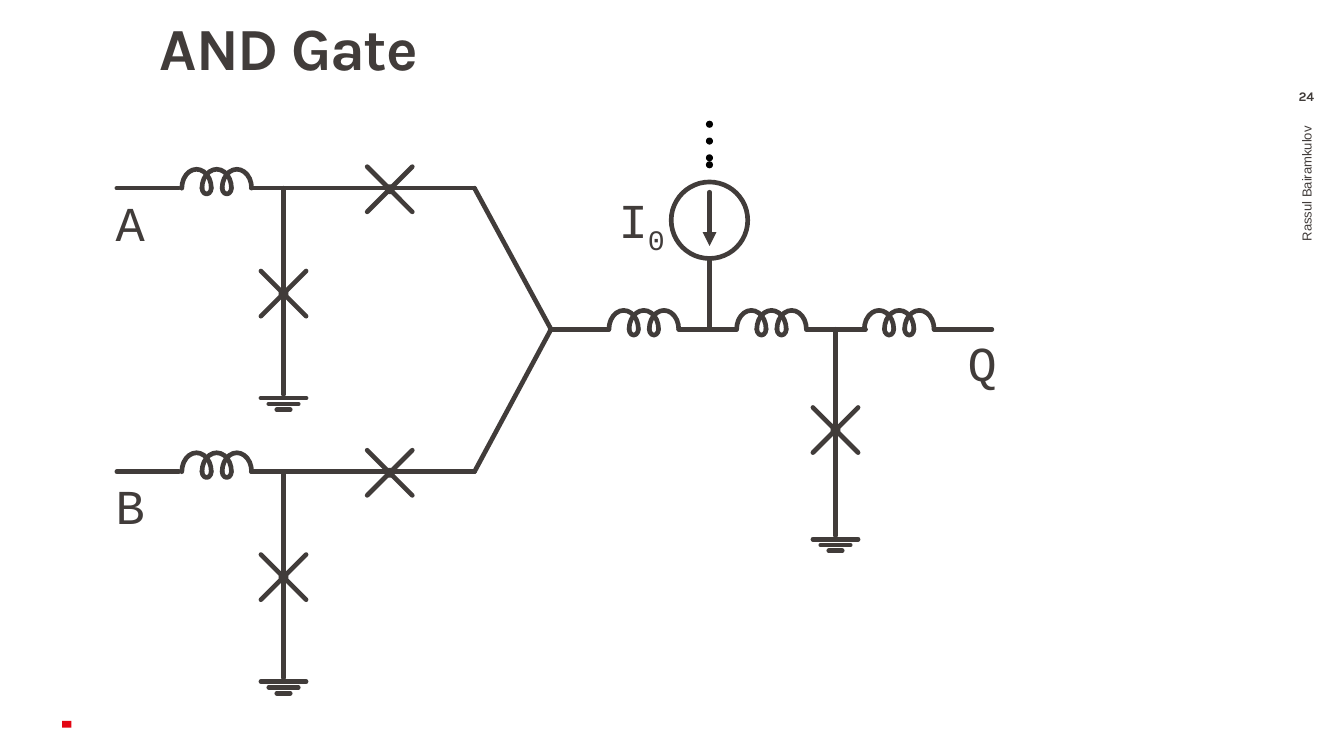
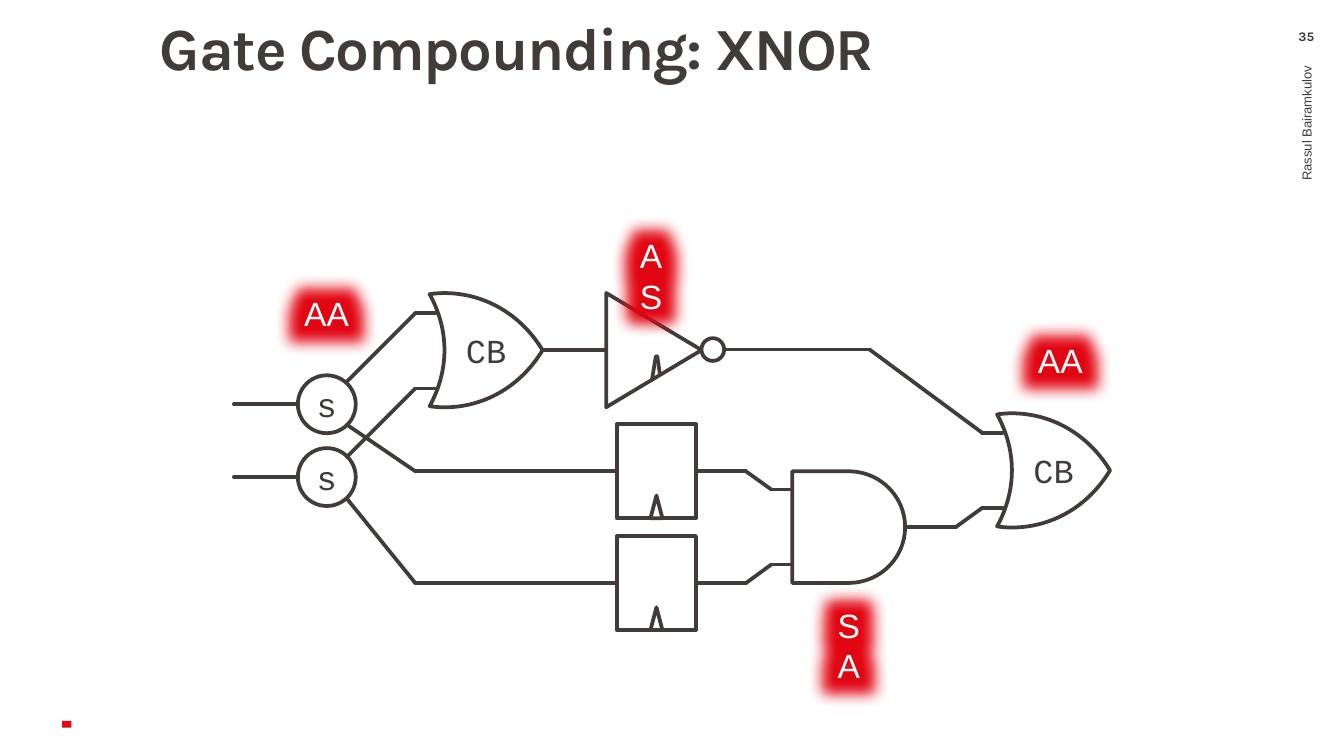
from itertools import pairwise

from lxml.etree import SubElement
from pptx import Presentation
from pptx.dml.color import RGBColor
from pptx.enum.shapes import MSO_CONNECTOR, MSO_SHAPE
from pptx.enum.text import MSO_ANCHOR, MSO_AUTO_SIZE, PP_ALIGN
from pptx.oxml import parse_xml
from pptx.oxml.ns import nsdecls, qn
from pptx.util import Pt

INK = RGBColor(0x41, 0x3C, 0x3A)
RED = RGBColor(0xE3, 0x06, 0x13)
WHITE = RGBColor(0xFF, 0xFF, 0xFF)
BLACK = RGBColor(0, 0, 0)
TITLE_FONT, BODY_FONT, CODE_FONT = "Karla", "Arial", "Courier New"
CIRCUIT_LINE, LOGIC_LINE = 2.5, 2
LEFT, RIGHT = 1, 3
GLOW_RADIUS = 60
GATE_START = (0, 0.6)
GATE_CURVES = (
    ((10.6, 20), (10.6, 41.2), (0, 60.6)),
    ((2.6, 61), (5.2, 61.2), (7.9, 61.2)),
    ((28.8, 61.2), (48.5, 50.4), (60.5, 30.6)),
    ((48.5, 10.8), (28.8, 0), (7.9, 0)),
    ((5.2, 0), (2.6, 0.2), GATE_START),
)


def add_span(para, text, size, font, color=INK, bold=False):
    span = para.add_run()
    span.text = text
    span.font.size = Pt(size)
    span.font.name = font
    span.font.bold = bold
    span.font.color.rgb = color
    return span


def set_frame(shape, margins, anchor, align):
    frame = shape.text_frame
    frame.word_wrap = True
    frame.auto_size = MSO_AUTO_SIZE.NONE
    frame.vertical_anchor = anchor
    (frame.margin_left, frame.margin_top,
     frame.margin_right, frame.margin_bottom) = map(Pt, margins)
    para = frame.paragraphs[0]
    para.alignment = align
    return para


def add_box(page, left, top, width, height, align=PP_ALIGN.CENTER,
            anchor=MSO_ANCHOR.MIDDLE, margins=(7.2, 3.6, 7.2, 3.6)):
    box = page.shapes.add_textbox(Pt(left), Pt(top), Pt(width), Pt(height))
    return box, set_frame(box, margins, anchor, align)


def paint(shape, fill, weight):
    shape.shadow.inherit = False
    if fill is None:
        shape.fill.background()
    else:
        shape.fill.solid()
        shape.fill.fore_color.rgb = fill
    if weight:
        shape.line.color.rgb = INK
        shape.line.width = Pt(weight)
        shape.line._get_or_add_ln().set("cap", "rnd")
    else:
        shape.line.fill.background()


def add_preset(page, preset, left, top, width, height, fill=WHITE, weight=LOGIC_LINE):
    shape = page.shapes.add_shape(preset, Pt(left), Pt(top), Pt(width), Pt(height))
    paint(shape, fill, weight)
    return shape


def add_label(shape, text):
    para = set_frame(shape, (0, 0, 0, 0), MSO_ANCHOR.MIDDLE, PP_ALIGN.CENTER)
    add_span(para, text, 18, CODE_FONT)


def add_wire(page, points, weight=LOGIC_LINE, arrow=False):
    segments = []
    for (x1, y1), (x2, y2) in pairwise(points):
        segment = page.shapes.add_connector(
            MSO_CONNECTOR.STRAIGHT, Pt(x1), Pt(y1), Pt(x2), Pt(y2))
        segment.line.color.rgb = INK
        segment.line.width = Pt(weight)
        segment.line._get_or_add_ln().set("cap", "rnd")
        SubElement(segment._element.spPr, qn("a:effectLst"))
        segments.append(segment)
    if arrow:
        SubElement(segments[-1].line._get_or_add_ln(), qn("a:tailEnd"), type="triangle")
    return segments


def add_page(deck, title, title_width, title_height, number, number_top):
    page = deck.slides.add_slide(deck.slide_layouts[5])
    add_preset(page, MSO_SHAPE.RECTANGLE, 33.3, 386.2, 5, 3.6, RED, 0)
    heading = page.shapes.title
    heading.left, heading.top = Pt(71.3), Pt(10.1)
    heading.width, heading.height = Pt(title_width), Pt(title_height)
    para = set_frame(heading, (14.4, 0, 5.8, 3.6), MSO_ANCHOR.TOP, PP_ALIGN.LEFT)
    para.line_spacing = 0.9
    span = add_span(para, title, 32, TITLE_FONT, bold=True)
    span.font._element.set("spc", "-70")

    author, para = add_box(page, 560.5, number_top + 132.2, 278.6, 40.3, PP_ALIGN.RIGHT)
    author.rotation = 270
    add_span(para, "Rassul Bairamkulov", 7, BODY_FONT)
    _, para = add_box(page, 679.7, number_top, 40.3, 13, anchor=MSO_ANCHOR.TOP,
                      margins=(7.2, 0, 7.2, 0))
    add_span(para, str(number), 7, TITLE_FONT, bold=True)
    return page


def add_arc(page, left, top, width, height, rotation=0):
    arc = add_preset(page, MSO_SHAPE.ARC, left, top, width, height, None, CIRCUIT_LINE)
    arc.adjustments[0], arc.adjustments[1] = 107.84, 0
    arc.rotation = rotation


def add_coil(page, left, wire_y):
    pitch = 10.8
    for turn in range(3):
        add_arc(page, left + turn * pitch, wire_y - 10.1, 15.8, 20.2)
    for turn in (1, 2):
        add_arc(page, left + turn * pitch, wire_y - 3.4, 5, 6.5, 180)


def add_junction(page, x, y):
    reach, dot = 12.1, 2.9
    for slope in (1, -1):
        add_wire(page, [(x - reach, y - slope * reach), (x + reach, y + slope * reach)],
                 CIRCUIT_LINE)
    add_preset(page, MSO_SHAPE.OVAL, x - dot / 2, y - dot / 2, dot, dot, None, CIRCUIT_LINE)


def add_grounded_junction(page, x, wire_y, junction_drop):
    add_wire(page, [(x, wire_y), (x, wire_y + 110.5)], CIRCUIT_LINE)
    add_junction(page, x, wire_y + junction_drop)
    for row, width in enumerate((24.2, 15.8, 7.2)):
        y = wire_y + 112.5 + row * 3.1
        add_wire(page, [(x - width / 2, y), (x + width / 2, y)], CIRCUIT_LINE)


def add_input_branch(page, wire_y, merge):
    add_wire(page, [(62.6, wire_y), (95.8, wire_y)], CIRCUIT_LINE)
    add_coil(page, 97.4, wire_y)
    add_wire(page, [(134.6, wire_y), (254.2, wire_y), merge], CIRCUIT_LINE)
    add_junction(page, 208.8, wire_y + 0.6)
    add_grounded_junction(page, 151.9, wire_y, 56.5)


def add_current_source(page, x, wire_y):
    dot, diameter, top = 3.8, 41, 97.5
    for dot_top in (64.7, 73.7, 82.7, 86.4):
        add_preset(page, MSO_SHAPE.OVAL, x - dot / 2, dot_top, dot, dot, BLACK, 0)
    add_wire(page, [(x, wire_y), (x, top + diameter)], CIRCUIT_LINE)
    add_preset(page, MSO_SHAPE.OVAL, x - diameter / 2, top, diameter, diameter,
               weight=CIRCUIT_LINE)
    add_wire(page, [(x, 103), (x, 131.8)], CIRCUIT_LINE, arrow=True)


def add_signal_name(page, left, top, height, name, subscript=""):
    _, para = add_box(page, left, top, 43.2, height)
    add_span(para, name, 26.1, CODE_FONT)
    if subscript:
        span = add_span(para, subscript, 26.1, CODE_FONT)
        span.font._element.set("baseline", "-25000")


def add_splitter(page, wire_y):
    diameter = 31
    circle = add_preset(page, MSO_SHAPE.OVAL, 159.6, wire_y - diameter / 2,
                        diameter, diameter)
    add_label(circle, "s")
    add_wire(page, [(125.3, wire_y), (159.6, wire_y)])


def add_confluence_gate(page, left, top):
    builder = page.shapes.build_freeform(*map(Pt, GATE_START))
    builder.add_line_segments(
        [tuple(map(Pt, curve[-1])) for curve in GATE_CURVES], close=True)
    gate = builder.convert_to_shape(Pt(left), Pt(top))
    straight_sides = list(gate._element.iter(qn("a:lnTo")))
    for side, curve in zip(straight_sides, GATE_CURVES):
        bend = side.makeelement(qn("a:cubicBezTo"))
        for x, y in curve:
            SubElement(bend, qn("a:pt"), x=str(int(Pt(x))), y=str(int(Pt(y))))
        side.getparent().replace(side, bend)
    paint(gate, WHITE, LOGIC_LINE)
    add_label(gate, "CB")


def add_flip_flop(page, top):
    left, width, height = 330.5, 42.4, 50.4
    body = add_preset(page, MSO_SHAPE.RECTANGLE, left, top, width, height)
    add_preset(page, MSO_SHAPE.ISOSCELES_TRIANGLE, left + width / 2 - 3.2,
               top + height - 12.2, 6.4, 12.2)
    return body


def add_inverter(page):
    body = add_preset(page, MSO_SHAPE.ISOSCELES_TRIANGLE, 319.7, 162, 61.2, 51.1)
    body.rotation = 90
    add_preset(page, MSO_SHAPE.OVAL, 375.8, 181.2, 12.2, 12.2)
    add_wire(page, [(351.4, 190.8), (349.2, 203.8)])
    add_wire(page, [(352.1, 190.8), (353.5, 200.2)])


def add_glowing_tag(page, left, top, width, height, text):
    _, para = add_box(page, left, top, width, height, anchor=MSO_ANCHOR.TOP)
    span = add_span(para, text, 18, BODY_FONT, WHITE)
    span.font.fill._xPr.find(qn("a:solidFill")).addnext(parse_xml(
        f'<a:effectLst {nsdecls("a")}><a:glow rad="{Pt(GLOW_RADIUS)}">'
        f'<a:srgbClr val="{RED}"/></a:glow></a:effectLst>'))


def build_and_gate(deck):
    page = add_page(deck, "AND Gate", 416.9, 84.2, 24, 47.5)
    input_a, input_b, output = 100.8, 252.7, 176.4
    for wire_y in (input_a, input_b):
        add_input_branch(page, wire_y, (295.2, output))
    for start, end in ((294.8, 326.2), (363.6, 394.6), (432, 463.7), (500.4, 531.4)):
        add_wire(page, [(start, output), (end, output)], CIRCUIT_LINE)
    for coil in range(3):
        add_coil(page, 326.2 + coil * 68.4, output)
    add_grounded_junction(page, 447.6, output, 54)
    add_current_source(page, 380.1, output)
    add_signal_name(page, 322.2, 107, 25.2, "I", "0")
    add_signal_name(page, 504.7, 174.7, 38.9, "Q")
    add_signal_name(page, 48.2, 251.3, 38.9, "B")
    add_signal_name(page, 48.2, 99.4, 38.9, "A")


def build_xnor(deck):
    page = add_page(deck, "Gate Compounding: XNOR", 520.6, 45.4, 35, 15.1)
    for wire_y in (216.6, 255.6):
        add_splitter(page, wire_y)
    add_confluence_gate(page, 230.2, 157)
    add_confluence_gate(page, 534.2, 221.4)
    add_inverter(page)
    add_preset(page, MSO_SHAPE.FLOWCHART_DELAY, 424.4, 252.5, 60.5, 59.8)

    for split_y, bend_y in ((204.5, 167.8), (244.8, 208.1)):
        add_wire(page, [(185.8, split_y), (222.5, bend_y), (234, bend_y)])
    for top, split_y, gate_y in ((227.3, 227.5, 262.3), (287.2, 267.1, 302.4)):
        flip_flop = add_flip_flop(page, top)
        middle = top + 25.2
        inlet = add_wire(page, [(185.8, split_y), (222.5, middle), (330.5, middle)])
        inlet[-1].end_connect(flip_flop, LEFT)
        outlet = add_wire(page, [(372.9, middle), (399.6, middle),
                                 (413.3, gate_y), (424.1, gate_y)])
        outlet[0].begin_connect(flip_flop, RIGHT)
    add_wire(page, [(290.9, 187.6), (324.7, 187.6)])
    add_wire(page, [(388.1, 187.2), (465.8, 187.2), (526.1, 231.8), (537.1, 231.8)])
    add_wire(page, [(485.3, 282.2), (512.3, 282.2), (526.1, 272.2), (537.1, 272.2)])

    add_glowing_tag(page, 331.9, 122.4, 33.8, 25.2, "AS")
    add_glowing_tag(page, 155.5, 153.4, 38.9, 28.8, "AA")
    add_glowing_tag(page, 437.8, 320.4, 33.8, 25.2, "SA")
    add_glowing_tag(page, 548.6, 178.6, 38.9, 28.8, "AA")


def main():
    deck = Presentation()
    deck.slide_width, deck.slide_height = Pt(720), Pt(405)
    build_and_gate(deck)
    build_xnor(deck)
    deck.save("out.pptx")


if __name__ == "__main__":
    main()
